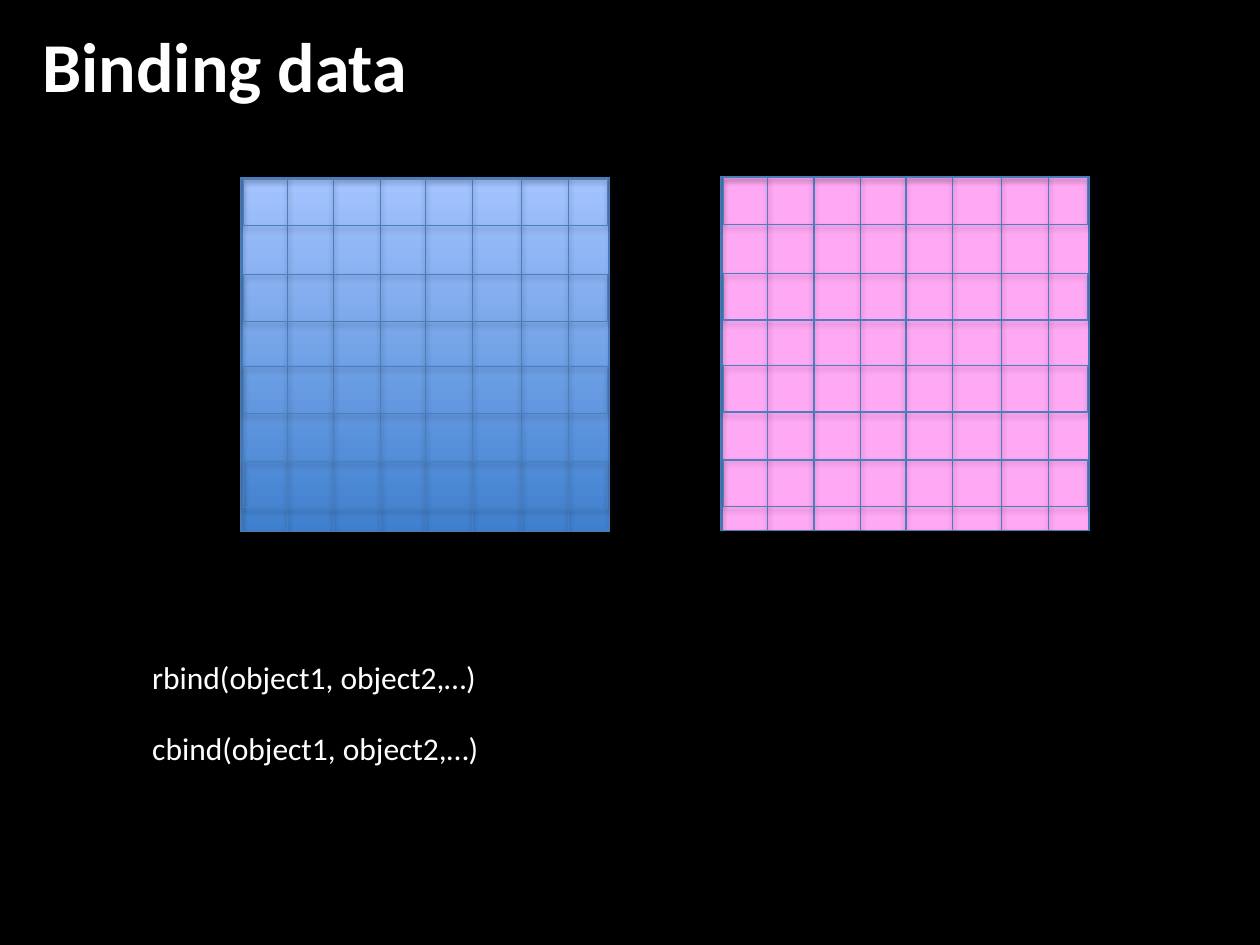
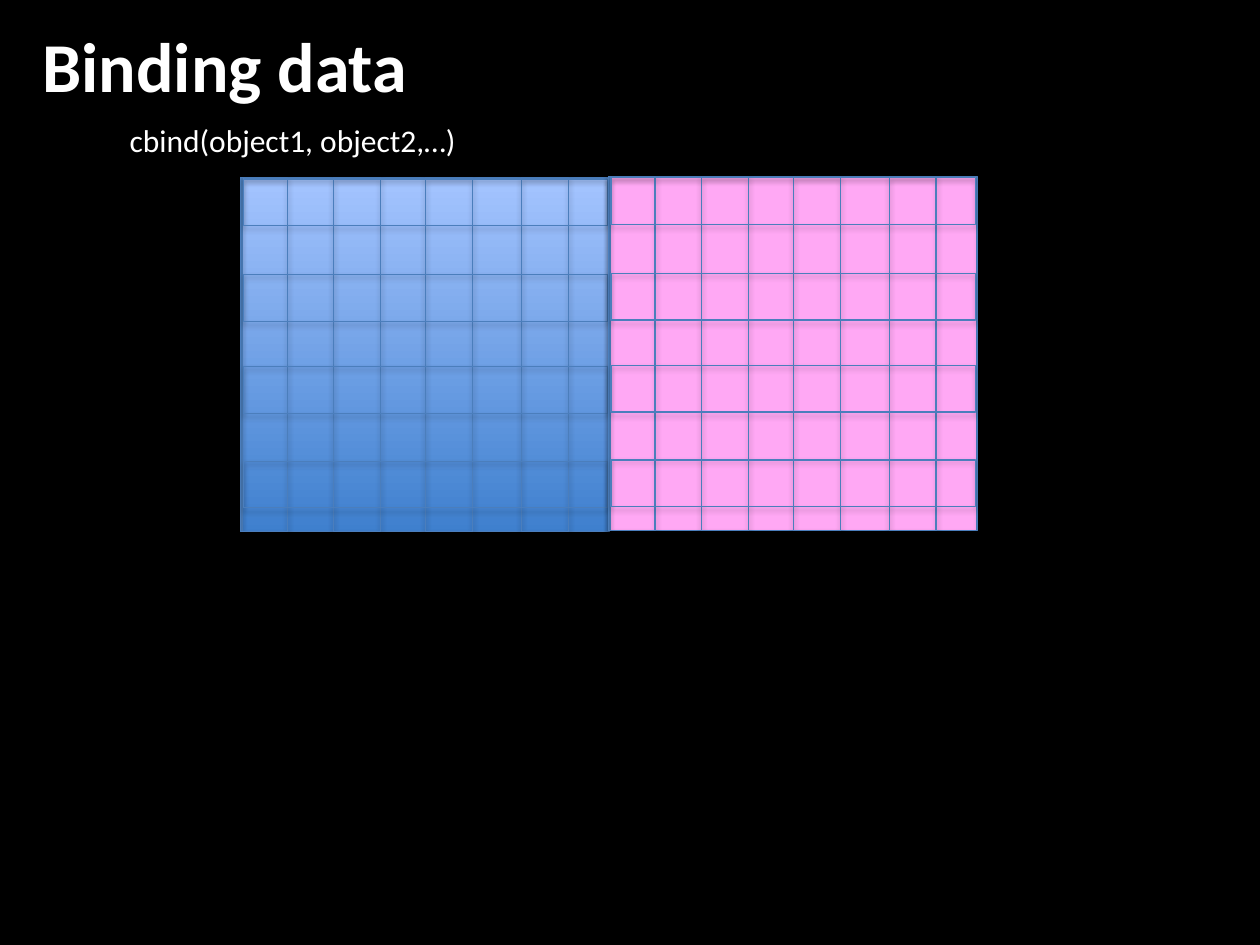
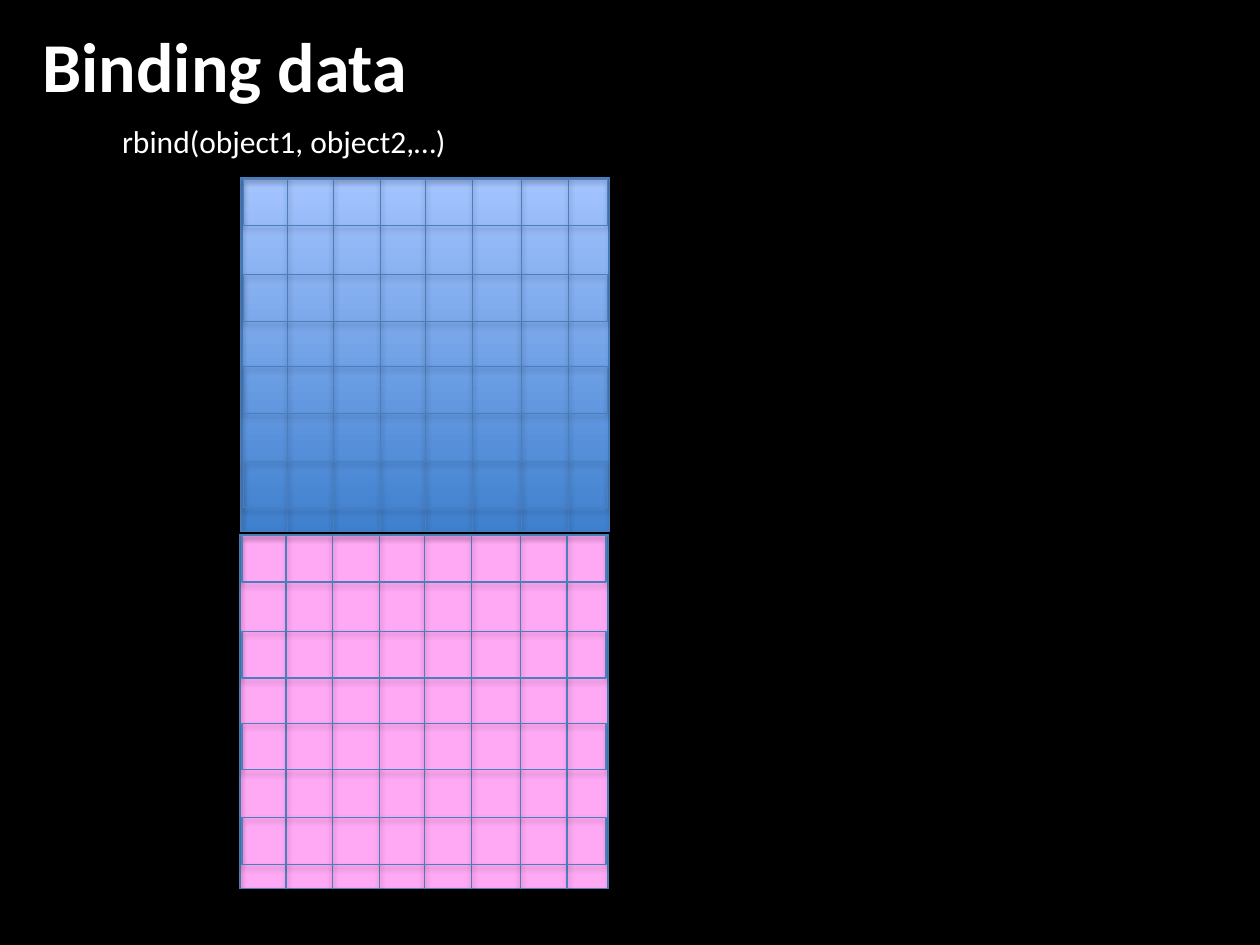
import dataclasses

import lxml.etree
import pptx
import pptx.dml.color
import pptx.enum.shapes
import pptx.enum.text
import pptx.oxml.ns
import pptx.util


@dataclasses.dataclass(frozen=True)
class Theme:
    font: str = "Calibri"
    background: str = "000000"
    text: str = "FFFFFF"
    grid_line: str = "4B7EBC"
    blue_gradient: tuple = ("3F80CE", "A4C4FF")
    pink: tuple = ("FFA8F4",)
    title_size: int = 40
    code_size: int = 18
    line_width: float = 0.75


theme = Theme()
rgb = pptx.dml.color.RGBColor.from_string
qn = pptx.oxml.ns.qn

deck = pptx.Presentation()
deck.slide_width = pptx.util.Inches(10)
deck.slide_height = pptx.util.Inches(7.5)
column = deck.slide_width / 10
row = deck.slide_height / 7.5


def place(left, top, width, height):
    return [round(n) for n in (left * column, top * row, width * column, height * row)]


def add_text(slide, text, left, top, width, height, size, bold=False):
    frame = slide.shapes.add_textbox(*place(left, top, width, height)).text_frame
    frame.word_wrap = False
    frame.auto_size = pptx.enum.text.MSO_AUTO_SIZE.SHAPE_TO_FIT_TEXT
    run = frame.paragraphs[0].add_run()
    run.text = text
    run.font.name = theme.font
    run.font.size = pptx.util.Pt(size)
    run.font.bold = bold
    run.font.color.rgb = rgb(theme.text)


def add_cell_block(shapes, left, top, width, height, colors=(), rotation=0):
    block = shapes.add_shape(
        pptx.enum.shapes.MSO_SHAPE.RECTANGLE, *place(left, top, width, height))
    block.rotation = rotation
    if len(colors) == 2:
        block.fill.gradient()
        block.fill.gradient_angle = 90
        for stop, color in zip(block.fill.gradient_stops, colors):
            stop.color.rgb = rgb(color)
    elif colors:
        block.fill.solid()
        block.fill.fore_color.rgb = rgb(colors[0])
    else:
        block.fill.background()
    block.line.color.rgb = rgb(theme.grid_line)
    block.line.width = pptx.util.Pt(theme.line_width)
    block.shadow.inherit = False
    effects = block.element.spPr.find(qn("a:effectLst"))
    shadow = lxml.etree.SubElement(
        effects, qn("a:outerShdw"), blurRad="40000", dist="23000",
        dir="5400000", rotWithShape="0")
    shade = lxml.etree.SubElement(shadow, qn("a:srgbClr"), val="000000")
    lxml.etree.SubElement(shade, qn("a:alpha"), val="35000")


table_width, table_height = 2.92, 2.81
band, row_length = 0.37, 2.89
column_starts = (0, 0.74, 1.47, 2.23)
row_starts = (2.25, 1.5, 0.77, 0.01)
row_turn = (row_length - band) / 2

rbind = "rbind(object1, object2,…)"
cbind = "cbind(object1, object2,…)"
first_object = (1.91, 1.41, theme.blue_gradient)
steps = [
    ((5.72, 1.4), [(rbind, 1.11, 5.17), (cbind, 1.11, 5.74)]),
    ((4.83, 1.4), [(cbind, 0.93, 0.91)]),
    ((1.9, 4.24), [(rbind, 0.87, 0.92)]),
]

for second_position, calls in steps:
    slide = deck.slides.add_slide(deck.slide_layouts[6])
    slide.background.fill.solid()
    slide.background.fill.fore_color.rgb = rgb(theme.background)

    for left, top, colors in (first_object, (*second_position, theme.pink)):
        add_cell_block(slide.shapes, left, top, table_width, table_height, colors=colors)
        add_cell_block(slide.shapes, left + 0.01, top, table_width, table_height)
        for start in column_starts:
            add_cell_block(slide.shapes, left + start, top, band, table_height)
        rows = slide.shapes.add_group_shape()
        for start in row_starts:
            add_cell_block(rows.shapes, left + 0.02 + row_turn, top + start - row_turn,
                           band, row_length, rotation=270)

    for call, left, top in calls:
        add_text(slide, call, left, top, 2.82, 0.4, size=theme.code_size)
    add_text(slide, "Binding data", 0.24, 0.13, 3.14, 0.77,
             size=theme.title_size, bold=True)

deck.save("out.pptx")
